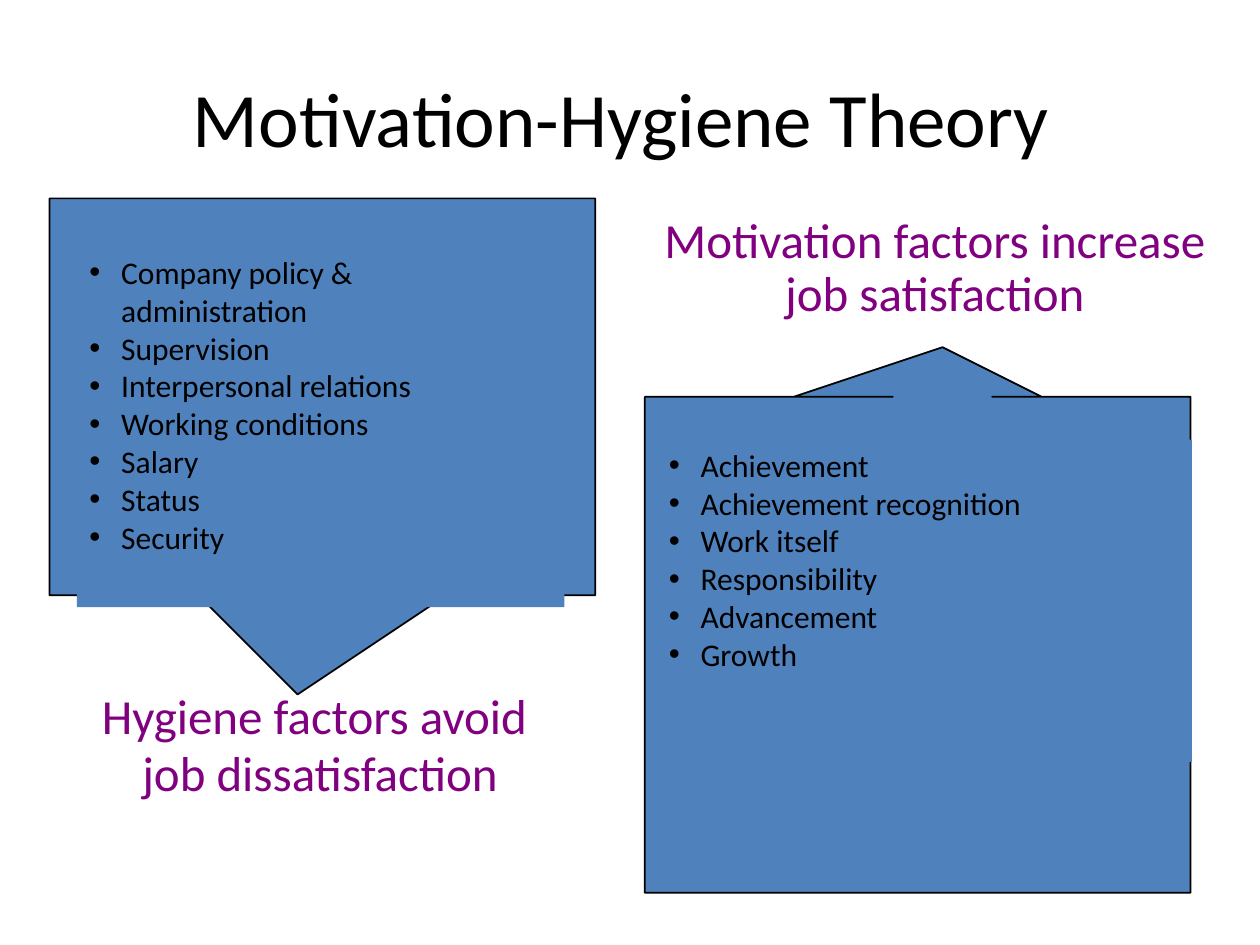
from pptx import Presentation
from pptx.dml.color import RGBColor
from pptx.enum.text import MSO_ANCHOR, MSO_AUTO_SIZE, PP_ALIGN
from pptx.oxml.ns import qn
from pptx.util import Cm, Pt
from lxml import etree

BLACK = RGBColor(0x00, 0x00, 0x00)
BLUE = RGBColor(0x4F, 0x81, 0xBD)
PURPLE = RGBColor(0x80, 0x00, 0x80)
FONT = "Calibri"
CENTER, LEFT = PP_ALIGN.CENTER, PP_ALIGN.LEFT
TOP, MIDDLE = MSO_ANCHOR.TOP, MSO_ANCHOR.MIDDLE
TWO_CONTENT_LAYOUT = 3

# Half widths of the arrow, as shares of the panel width
NECK, WING = 0.07, 0.235

HYGIENE_FACTORS = [
    "Company policy & \nadministration", "Supervision",
    "Interpersonal relations", "Working conditions",
    "Salary", "Status", "Security",
]
MOTIVATION_FACTORS = [
    "Achievement", "Achievement recognition", "Work itself",
    "Responsibility", "Advancement", "Growth",
]


def place(box, left, top, width, height):
    box.left, box.top = Cm(left), Cm(top)
    box.width, box.height = Cm(width), Cm(height)


def add_span(para, text, size, color):
    span = para.add_run()
    span.text = text
    span.font.name = FONT
    span.font.size = Pt(size)
    span.font.color.rgb = color


def set_frame(box, anchor):
    frame = box.text_frame
    frame.word_wrap = True
    frame.auto_size = MSO_AUTO_SIZE.NONE
    frame.vertical_anchor = anchor
    return frame


def next_para(frame, index):
    return frame.add_paragraph() if index else frame.paragraphs[0]


def set_bullet(para):
    properties = para._p.get_or_add_pPr()
    properties.set("marL", str(Cm(0.64)))
    properties.set("indent", str(Cm(-0.64)))
    color = etree.SubElement(properties, qn("a:buClr"))
    etree.SubElement(color, qn("a:srgbClr"), val=str(BLACK))
    etree.SubElement(properties, qn("a:buFont"), typeface="Arial")
    etree.SubElement(properties, qn("a:buChar"), char="•")


def fill_title(box, text):
    place(box, 1.27, 0.76, 22.86, 3.18)
    para = set_frame(box, MIDDLE).paragraphs[0]
    para.alignment = CENTER
    add_span(para, text, 44, BLACK)


def fill_list(box, area, items, anchor):
    place(box, *area)
    box.fill.solid()
    box.fill.fore_color.rgb = BLUE
    frame = set_frame(box, anchor)
    for index, item in enumerate(items):
        para = next_para(frame, index)
        para.alignment = LEFT
        para.space_before = Pt(0)
        set_bullet(para)
        for number, line in enumerate(item.split("\n")):
            if number:
                para.add_line_break()
            add_span(para, line, 18, BLACK)


def add_arrow_panel(page, list_box, left, right, far, edge, tip):
    """Draw a panel from far to edge, with an arrow to tip, behind its list."""
    middle = (left + right) / 2
    neck, wing = NECK * (right - left), WING * (right - left)
    builder = page.shapes.build_freeform(left, far, scale=Cm(1))
    builder.add_line_segments([
        (right, far), (right, edge),
        (middle + neck, edge), (middle + wing, edge),
        (middle, tip),
        (middle - wing, edge), (middle - neck, edge),
        (left, edge), (left, far),
    ], close=False)
    panel = builder.convert_to_shape()
    panel.shadow.inherit = False
    panel.fill.solid()
    panel.fill.fore_color.rgb = BLUE
    panel.line.color.rgb = BLACK
    panel.line.width = Pt(1)
    list_box.element.addprevious(panel.element)


def add_caption(page, area, lines, spacing):
    box = page.shapes.add_textbox(*map(Cm, area))
    frame = set_frame(box, TOP)
    for index, line in enumerate(lines):
        para = next_para(frame, index)
        para.alignment = CENTER
        para.line_spacing = spacing
        para.space_before = Pt(5.6 if index else 0)
        add_span(para, line, 28, PURPLE)


def main():
    deck = Presentation()
    deck.slide_width, deck.slide_height = Cm(25.4), Cm(19.05)
    page = deck.slides.add_slide(deck.slide_layouts[TWO_CONTENT_LAYOUT])
    hygiene_list, motivation_list = page.placeholders[1], page.placeholders[2]

    fill_title(page.shapes.title, "Motivation-Hygiene Theory ")

    # Hygiene side: arrow points down
    fill_list(hygiene_list, (1.55, 4.06, 9.83, 8.18), HYGIENE_FACTORS, MIDDLE)
    add_arrow_panel(page, hygiene_list, left=1.27, right=11.63,
                    far=3.94, edge=12.34, tip=14.02)
    add_caption(page, (1.27, 13.92, 10.36, 3.1),
                ["Hygiene factors avoid ", "job dissatisfaction"], 0.8)

    # Motivation side: arrow points up
    fill_list(motivation_list, (13.23, 8.86, 10.8, 6.5), MOTIVATION_FACTORS, TOP)
    add_arrow_panel(page, motivation_list, left=13.13, right=24.33,
                    far=17.78, edge=8.46, tip=6.6)
    add_caption(page, (13.13, 4.24, 11.43, 2.44),
                ["Motivation factors increase job satisfaction"], 0.9)

    deck.save("out.pptx")


if __name__ == "__main__":
    main()
